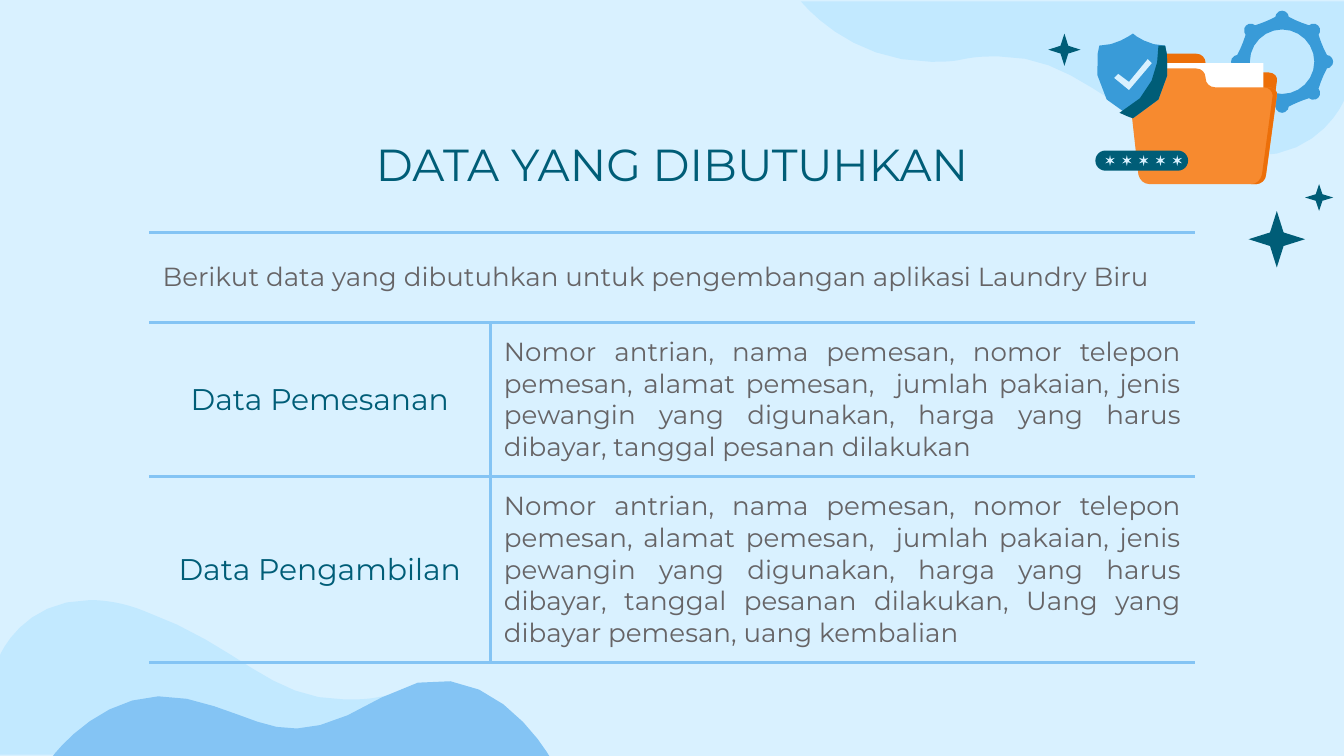
import dataclasses
import math
import typing

import lxml.etree
import pptx
import pptx.dml.color
import pptx.enum.shapes
import pptx.enum.text
import pptx.oxml.ns
import pptx.shapes.autoshape
import pptx.shapes.shapetree
import pptx.table
import pptx.util

RGB = pptx.dml.color.RGBColor
PRESET = pptx.enum.shapes.MSO_SHAPE
ALIGN = pptx.enum.text.PP_ALIGN
Shapes = pptx.shapes.shapetree.SlideShapes | pptx.shapes.shapetree.GroupShapes
Point = tuple[float, float]

PALE = RGB(0xD9, 0xF1, 0xFF)
LIGHT = RGB(0xC2, 0xE9, 0xFF)
SKY = RGB(0x84, 0xC4, 0xF4)
BLUE = RGB(0x39, 0x9B, 0xD8)
TEAL = RGB(0x00, 0x5D, 0x77)
ORANGE = RGB(0xF7, 0x8A, 0x2F)
DARK_ORANGE = RGB(0xEC, 0x6F, 0x09)
WHITE = RGB(0xFF, 0xFF, 0xFF)
GRAY = RGB(0x66, 0x64, 0x66)
FONT = "Montserrat"

# The slide is a grid of square cells, 1000 columns wide; all lengths count cells.
COLUMNS, ROWS = 1000, 562.5
SLIDE_WIDTH = pptx.util.Inches(10)
CELL = SLIDE_WIDTH / COLUMNS
WAVE_STEPS, ICON_STEPS = 8, 4

CORNER_WAVE = ("M 1000 1 L 1000 75 C 1000 75 983 116 933 116 C 922 116 908 114 893 108 "
               "C 821 82 800 42 743 42 C 735 42 727 42 717 44 C 709 46 701 46 693 46 "
               "C 631 46 596 1 596 1")
FRONT_WAVE = ("M 39 563 C 39 563 80 507 139 520 C 199 533 209 563 284 519 "
              "C 359 474 409 563 409 563")
FOLDER = ("M 845 40 C 841 40 839 44 839 47 L 847 119 C 848 123 851 126 855 126 L 935 126 "
          "C 938 126 942 123 942 119 L 950 61 C 951 57 948 54 944 54 L 904 54 "
          "C 900 54 897 51 897 47 C 897 43 894 40 890 40")
FOLDER_EDGE = ("M 941 65 C 944 65 947 68 947 71 L 939 130 C 938 134 935 137 931 137 L 935 137 "
               "C 938 137 942 134 942 130 L 950 71 C 951 68 948 65 944 65")
SHIELD = ("M 843 25 C 840 27 830 34 818 34 C 818 34 806 75 843 88 "
          "C 879 75 867 34 867 34 C 855 34 845 27 843 25")
SHIELD_SHADE = ("M 862 34 C 862 49 858 72 833 84 C 836 85 839 87 843 88 "
                "C 879 75 867 34 867 34")
CHECK = "M 854 44 L 840 61 L 832 55 L 829 58 L 840 67 L 857 47"


class Box(typing.NamedTuple):
    left: float
    top: float
    width: float
    height: float


@dataclasses.dataclass(frozen=True)
class Entry:
    text: str
    size: int
    color: RGB
    align: ALIGN


def cells(count: float) -> pptx.util.Emu:
    return pptx.util.Emu(round(count * CELL))


def trace(outline: str, steps: int) -> list[Point]:
    """Turn M, L and C commands into points, sampling the cubic curves."""
    tokens, points = outline.split(), []
    while tokens:
        count = 6 if tokens.pop(0) == "C" else 2
        numbers = [float(token) for token in tokens[:count]]
        del tokens[:count]
        controls = list(zip(numbers[::2], numbers[1::2]))
        if count == 2:
            points += controls
            continue
        controls.insert(0, points[-1])
        for step in range(1, steps + 1):
            t = step / steps
            weights = [math.comb(3, k) * t**k * (1 - t) ** (3 - k) for k in range(4)]
            points.append(tuple(sum(w * c[axis] for w, c in zip(weights, controls))
                                for axis in (0, 1)))
    return points


def polar(center: Point, radius: float, degrees: float) -> Point:
    angle = math.radians(degrees)
    return center[0] + radius * math.cos(angle), center[1] + radius * math.sin(angle)


def paint(shape: pptx.shapes.autoshape.Shape, color: RGB) -> None:
    shape.fill.solid()
    shape.fill.fore_color.rgb = color
    shape.line.fill.background()
    shape.shadow.inherit = False


def draw_outline(shapes: Shapes, color: RGB, *contours: list[Point]) -> None:
    builder = None
    for contour in contours:
        start, *rest = [(cells(x), cells(y)) for x, y in contour]
        if builder is None:
            builder = shapes.build_freeform(*start)
        else:
            builder.move_to(*start)
        builder.add_line_segments(rest, close=True)
    paint(builder.convert_to_shape(), color)


def draw_preset(shapes: Shapes, kind: PRESET, box: Box, color: RGB,
                adjustment: float | None = None) -> None:
    shape = shapes.add_shape(kind, *map(cells, box))
    if adjustment is not None:
        shape.adjustments[0] = adjustment
    paint(shape, color)


def draw_gear(shapes: Shapes, center: Point) -> None:
    """Draw a ring with eight round knobs as one outline with a hole."""
    ring, hole, orbit, knob = 32.5, 24, 33, 5
    rim = []
    for axis in range(0, 360, 45):
        for turn in (-8.5, -7, -3.5, 0, 3.5, 7, 8.5, 18, 27):
            offset = math.radians(turn)
            reach = knob**2 - (orbit * math.sin(offset)) ** 2
            bump = orbit * math.cos(offset) + math.sqrt(reach) if reach > 0 else ring
            rim.append(polar(center, bump, axis + turn))
    draw_outline(shapes, BLUE, rim, [polar(center, hole, d) for d in range(0, 360, 15)])


def asterisk(center: Point) -> list[Point]:
    return [polar(center, radius, arm + turn) for arm in range(-90, 270, 60)
            for radius, turn in ((4, 0), (1.3, 30))]


def draw_security_icon(shapes: Shapes) -> None:
    draw_gear(shapes, (954, 46))
    folder = trace(FOLDER, ICON_STEPS)
    draw_outline(shapes, DARK_ORANGE, folder)
    draw_preset(shapes, PRESET.RECTANGLE, Box(850, 47, 90, 86), WHITE)
    draw_outline(shapes, ORANGE, [(x, y + 11) for x, y in folder])
    for outline, color in ((FOLDER_EDGE, DARK_ORANGE), (SHIELD, BLUE),
                           (CHECK, PALE), (SHIELD_SHADE, TEAL)):
        draw_outline(shapes, color, trace(outline, ICON_STEPS))
    draw_preset(shapes, PRESET.ROUNDED_RECTANGLE, Box(815, 112, 69, 15), TEAL, 0.5)
    draw_outline(shapes, PALE, *(asterisk((826 + 12.5 * i, 119.5)) for i in range(5)))
    for sparkle in (Box(780, 25, 24, 24), Box(929, 157, 42, 42), Box(971, 137, 21, 20)):
        draw_preset(shapes, PRESET.STAR_4_POINT, sparkle, TEAL, 0.17)


def set_borders(cell: pptx.table._Cell, visible: str) -> None:
    """Rule the sides named in visible (letters of LRTB) and clear the others."""
    properties = cell._tc.get_or_add_tcPr()
    qn = pptx.oxml.ns.qn
    for side in "LRTB":
        line = lxml.etree.SubElement(properties, qn(f"a:ln{side}"), w=str(int(pptx.util.Pt(1.5))))
        if side in visible:
            fill = lxml.etree.SubElement(line, qn("a:solidFill"))
            lxml.etree.SubElement(fill, qn("a:srgbClr"), val=str(SKY))
        else:
            lxml.etree.SubElement(line, qn("a:noFill"))


def write_entry(cell: pptx.table._Cell, entry: Entry) -> None:
    paragraph = cell.text_frame.paragraphs[0]
    paragraph.text = entry.text
    paragraph.alignment = entry.align
    font = paragraph.runs[0].font
    font.name, font.size, font.bold = FONT, pptx.util.Pt(entry.size), False
    font.color.rgb = entry.color


def draw_data_table(shapes: Shapes, entries: list[list[Entry]]) -> None:
    widths, heights = (254, 524), (100, 67, 114, 137)
    box = Box(111, 73, sum(widths), sum(heights))
    table = shapes.add_table(len(heights), len(widths), *map(cells, box)).table
    table.first_row = table.horz_banding = False
    for column, width in zip(table.columns, widths):
        column.width = cells(width)
    for r, (row, height, row_entries) in enumerate(zip(table.rows, heights, entries)):
        row.height = cells(height)
        split = len(row_entries) == len(widths)
        for c, cell in enumerate(row.cells):
            set_borders(cell, ("TB" if r else "B") + ("RL"[c] if split else ""))
            cell.fill.background()
            cell.vertical_anchor = pptx.enum.text.MSO_ANCHOR.MIDDLE
            cell.margin_left = cell.margin_right = cells(10)
            cell.margin_top = cell.margin_bottom = cells(10)
        if not split:
            table.cell(r, 0).merge(table.cell(r, len(widths) - 1))
        for c, entry in enumerate(row_entries):
            write_entry(table.cell(r, c), entry)


def main() -> None:
    deck = pptx.Presentation()
    deck.slide_width, deck.slide_height = SLIDE_WIDTH, cells(ROWS)
    slide = deck.slides.add_slide(deck.slide_layouts[6])
    slide.background.fill.solid()
    slide.background.fill.fore_color.rgb = PALE

    wave = trace(CORNER_WAVE, WAVE_STEPS)
    draw_outline(slide.shapes, LIGHT, wave)
    draw_outline(slide.shapes, LIGHT, [(COLUMNS - x, ROWS - y) for x, y in wave])
    draw_outline(slide.shapes, SKY, trace(FRONT_WAVE, WAVE_STEPS))
    draw_security_icon(slide.shapes.add_group_shape().shapes)

    order_data = ("Nomor antrian, nama pemesan, nomor telepon pemesan, alamat pemesan,  "
                  "jumlah pakaian, jenis pewangin yang digunakan, harga yang harus dibayar, "
                  "tanggal pesanan dilakukan")
    pickup_data = order_data + ", Uang yang dibayar pemesan, uang kembalian"
    intro = "Berikut data yang dibutuhkan untuk pengembangan aplikasi Laundry Biru"
    draw_data_table(slide.shapes, [
        [Entry("DATA YANG DIBUTUHKAN", 24, TEAL, ALIGN.CENTER)],
        [Entry(intro, 14, GRAY, ALIGN.LEFT)],
        *([Entry(label, 16, TEAL, ALIGN.CENTER), Entry(detail, 14, GRAY, ALIGN.JUSTIFY)]
          for label, detail in (("Data Pemesanan", order_data),
                                ("Data Pengambilan", pickup_data))),
    ])
    deck.save("out.pptx")


if __name__ == "__main__":
    main()
